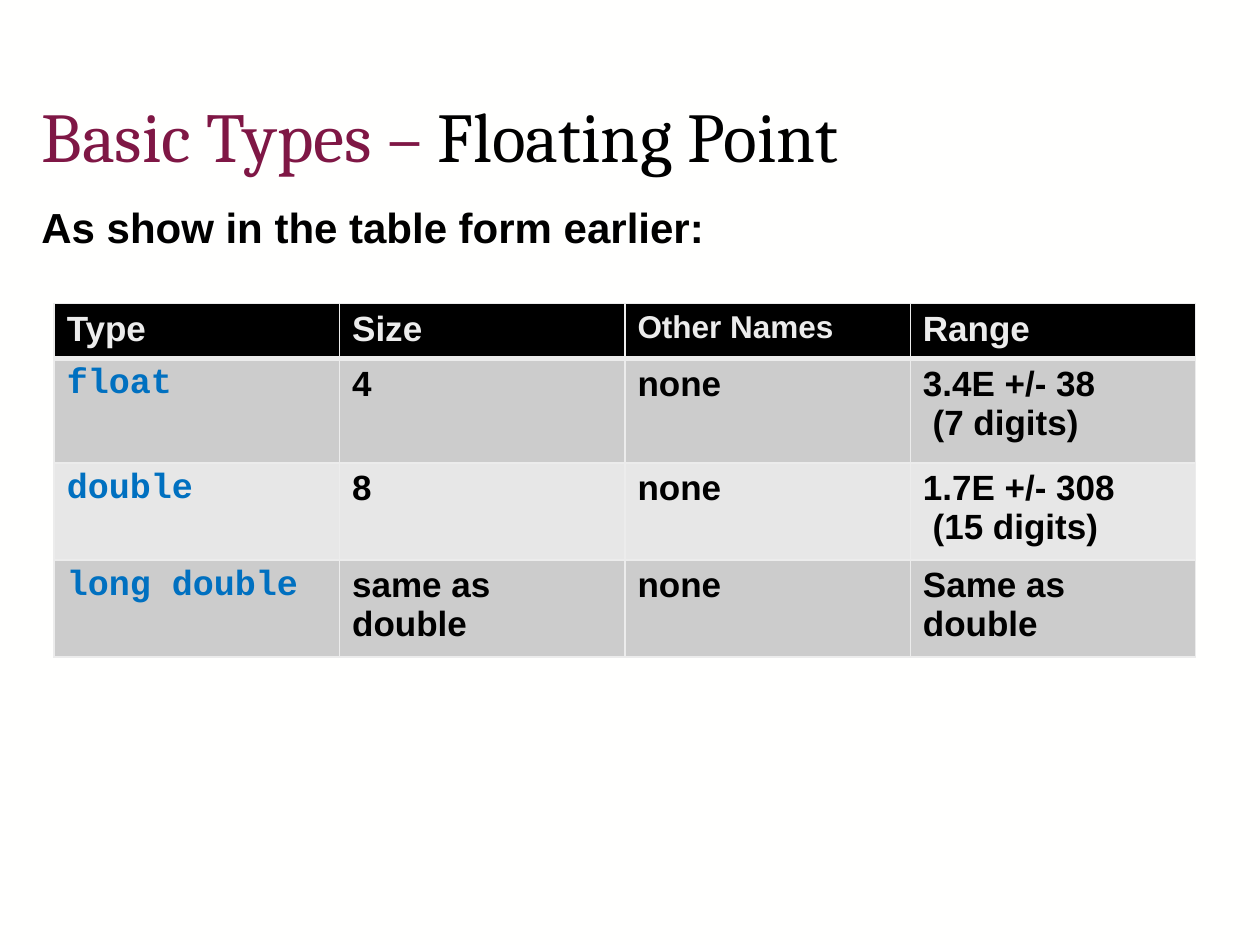
from pptx import Presentation
from pptx.dml.color import RGBColor
from pptx.enum.text import MSO_ANCHOR, PP_ALIGN
from pptx.oxml import parse_xml
from pptx.oxml.ns import nsdecls
from pptx.util import Inches, Pt

BLACK, BORDER, PLUM, KEYWORD = "000000", "ECECEC", "7F1745", "0070C0"
BANDS = ("CCCCCC", "E7E7E7")
ROW_HEIGHTS = (0.42, 0.83, 0.77, 0.77)
ROWS = (
    ("Type", "Size", "Other Names", "Range"),
    ("float", "4", "none", "3.4E +/- 38\n (7 digits)"),
    ("double", "8", "none", "1.7E +/- 308\n (15 digits)"),
    ("long double", "same as double", "none", "Same as double"),
)


def rgb(color):
    return RGBColor.from_string(color)


def set_font(font, name, size, color, bold=False):
    font.name, font.size, font.bold = name, Pt(size), bold
    font.color.rgb = rgb(color)


def add_heading(slide, left, top, width, height):
    title = slide.shapes.title
    title.left, title.top, title.width, title.height = left, top, width, height
    frame = title.text_frame
    frame.vertical_anchor = MSO_ANCHOR.MIDDLE
    heading = frame.paragraphs[0]
    heading.alignment = PP_ALIGN.LEFT
    for words, color in (("Basic Types – ", PLUM), ("Floating Point", BLACK)):
        run = heading.add_run()
        run.text = words
        set_font(run.font, "Cambria", 40, color)


def add_intro(slide, left, top, width, height):
    frame = slide.shapes.add_textbox(left, top, width, height).text_frame
    frame.word_wrap = True
    intro = frame.paragraphs[0]
    intro.text = "As show in the table form earlier:"
    intro.alignment = PP_ALIGN.JUSTIFY
    set_font(intro.font, "Arial", 24, BLACK, bold=True)


def set_borders(cell, top, bottom):
    """Draw the cell's borders; the top and bottom widths are in points."""
    properties = cell._tc.get_or_add_tcPr()
    widths = (("lnL", 1), ("lnR", 1), ("lnT", top), ("lnB", bottom))
    for position, (side, width) in enumerate(widths):
        properties.insert(position, parse_xml(
            f'<a:{side} {nsdecls("a")} w="{Pt(width)}"><a:solidFill>'
            f'<a:srgbClr val="{BORDER}"/></a:solidFill></a:{side}>'))


def add_types_table(slide, left, top, width, height):
    table = slide.shapes.add_table(
        len(ROWS), len(ROWS[0]), left, top, width, height).table
    for row, row_height in zip(table.rows, ROW_HEIGHTS):
        row.height = Inches(row_height)

    for r, texts in enumerate(ROWS):
        for c, text in enumerate(texts):
            cell = table.cell(r, c)
            cell.text = text
            cell.fill.solid()
            cell.fill.fore_color.rgb = rgb(BLACK if r == 0 else BANDS[(r - 1) % 2])
            # A thick rule parts the header from the body
            set_borders(cell, top=3 if r == 1 else 1, bottom=3 if r == 0 else 1)

            name, size, color = "Arial", 20, BLACK
            if r == 0:
                color = BORDER
                size = 18 if text == "Other Names" else 20
            elif c == 0:
                name, color = "Courier New", KEYWORD
            for paragraph in cell.text_frame.paragraphs:
                set_font(paragraph.font, name, size, color, bold=True)


def main():
    presentation = Presentation()
    presentation.slide_width, presentation.slide_height = Inches(10), Inches(7.5)
    slide = presentation.slides.add_slide(presentation.slide_layouts[5])
    slide.background.fill.solid()
    slide.background.fill.fore_color.rgb = rgb("FFFFFE")

    add_heading(slide, Inches(0.23), Inches(0.44), Inches(9.45), Inches(1.25))
    add_intro(slide, Inches(0.23), Inches(1.55), Inches(8.86), Inches(0.5))
    add_types_table(slide, Inches(0.43), Inches(2.41), Inches(9.06),
                    Inches(sum(ROW_HEIGHTS)))
    presentation.save("out.pptx")


if __name__ == "__main__":
    main()
